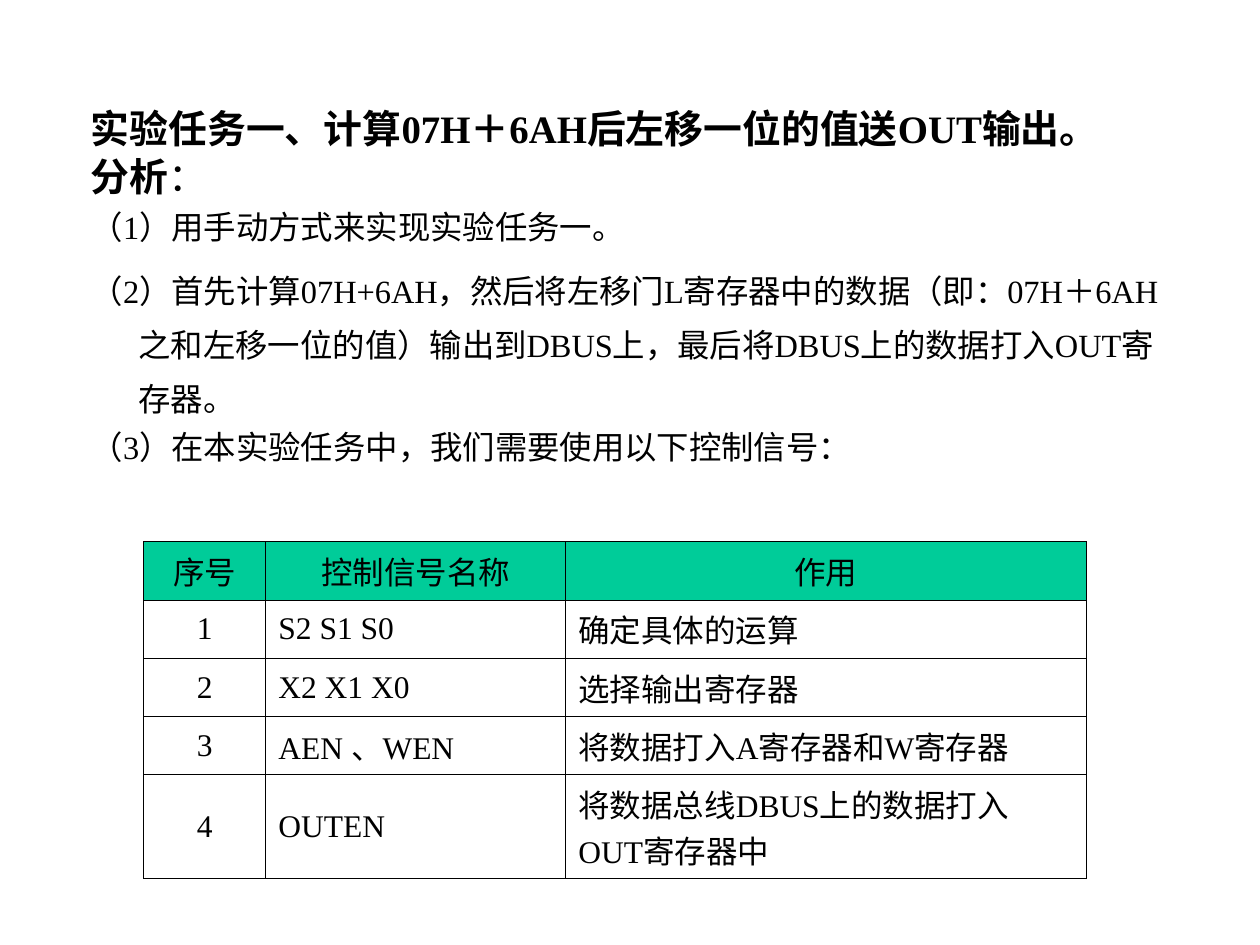
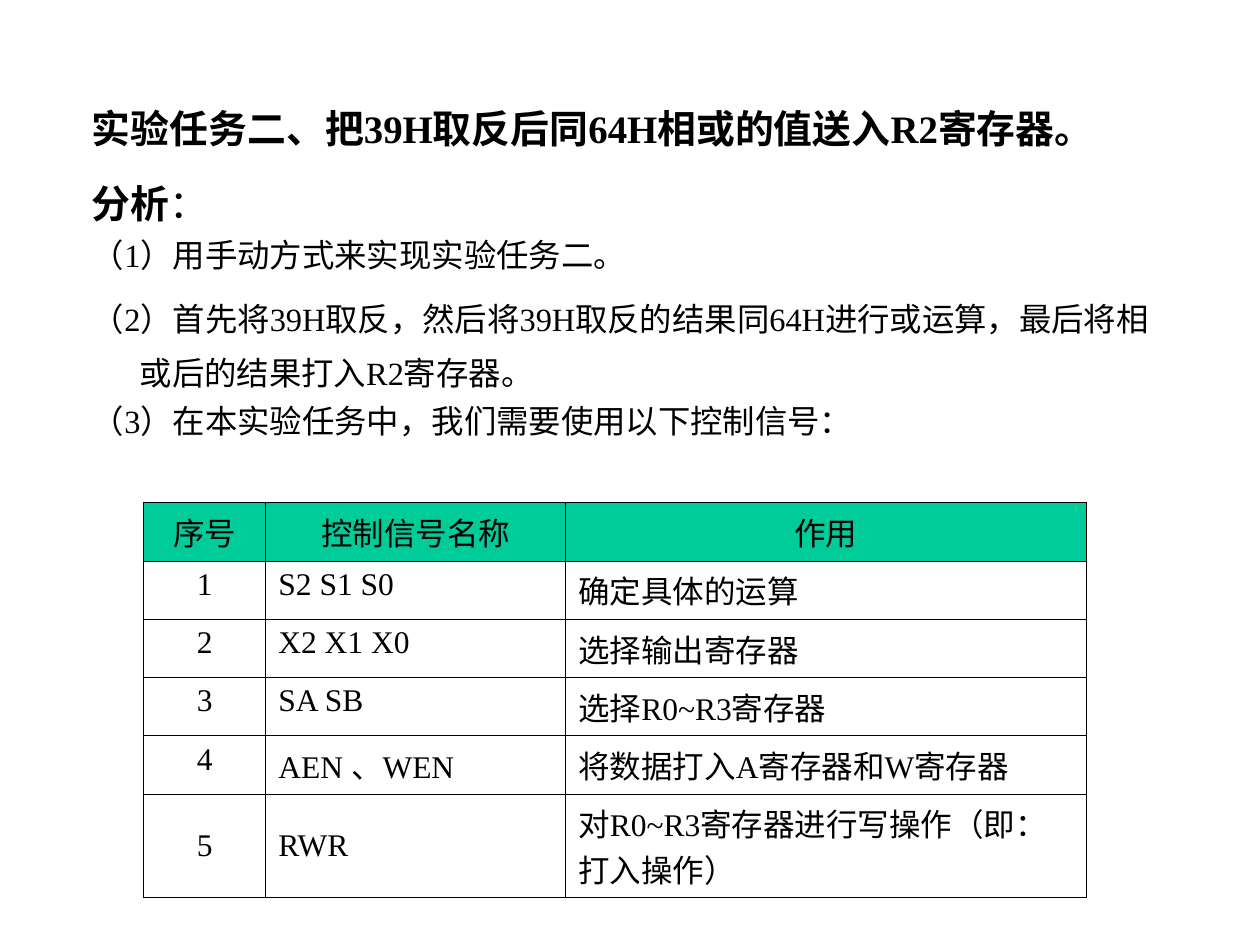
from lxml import etree
from pptx import Presentation
from pptx.dml.color import RGBColor
from pptx.enum.lang import MSO_LANGUAGE_ID
from pptx.enum.text import MSO_ANCHOR, MSO_AUTO_SIZE, PP_ALIGN
from pptx.oxml.ns import qn
from pptx.util import Inches, Pt

TOP, MIDDLE = MSO_ANCHOR.TOP, MSO_ANCHOR.MIDDLE
LEFT, CENTER = PP_ALIGN.LEFT, PP_ALIGN.CENTER
NO_AUTOFIT = MSO_AUTO_SIZE.NONE
CHINESE = MSO_LANGUAGE_ID.SIMPLIFIED_CHINESE

FONT = "Times New Roman"
BLACK = "000000"
HEADER_GREEN = "00CC99"
HEADING_SIZE, ITEM_SIZE, CELL_SIZE = 22.2, 18.5, 18
INDENT = 0.38
TABLE_LEFT = 1.14
COLUMN_WIDTHS = (0.97, 2.38, 4.13)
ROW_HEIGHT, LAST_ROW_HEIGHT = 0.4, 0.7
BORDER_WIDTH = 0.45
HEADERS = ("序号", "控制信号名称", "作用")
SIGNALS_INTRO = "（3）在本实验任务中，我们需要使用以下控制信号："


def rgb(value):
    return RGBColor.from_string(value)


def add_run(p, text, size=ITEM_SIZE, bold=False, color=BLACK):
    r = p.add_run()
    r.text = text
    r.font.name = FONT
    r.font.size = Pt(size)
    r.font.bold = bold
    r.font.color.rgb = rgb(color)
    r.font.language_id = CHINESE


def format_paragraph(p, line_spacing=1.0, space_before=0):
    pPr = p._p.get_or_add_pPr()
    pPr.set("marL", str(Inches(INDENT)))
    pPr.set("indent", str(-Inches(INDENT)))
    etree.SubElement(pPr, qn("a:buNone"))
    p.alignment = LEFT
    p.line_spacing = line_spacing
    p.space_before = Pt(space_before)


def add_task_text(s, box, heading, items, analysis_spacing):
    sp = s.placeholders[1]
    sp.left, sp.top, sp.width, sp.height = map(Inches, box)
    tf = sp.text_frame
    tf.word_wrap = True
    tf.auto_size = NO_AUTOFIT
    tf.vertical_anchor = TOP

    p = tf.paragraphs[0]
    format_paragraph(p, line_spacing=1.4)
    add_run(p, heading, size=HEADING_SIZE, bold=True)

    p = tf.add_paragraph()
    format_paragraph(p, line_spacing=analysis_spacing, space_before=6)
    add_run(p, "分析", size=HEADING_SIZE, bold=True)
    add_run(p, "：", size=HEADING_SIZE)

    for text, spacing in zip((*items, SIGNALS_INTRO), (1.0, 1.4, 1.0)):
        p = tf.add_paragraph()
        format_paragraph(p, line_spacing=spacing, space_before=5)
        add_run(p, text)


def set_borders(cell):
    tcPr = cell._tc.get_or_add_tcPr()
    for i, side in enumerate(("lnL", "lnR", "lnT", "lnB")):
        ln = etree.Element(qn(f"a:{side}"), w=str(Pt(BORDER_WIDTH)))
        fill = etree.SubElement(ln, qn("a:solidFill"))
        etree.SubElement(fill, qn("a:srgbClr"), val=BLACK)
        tcPr.insert(i, ln)


def fill_cell(cell, text, align, anchor, fill=None):
    cell.vertical_anchor = anchor
    if fill:
        cell.fill.solid()
        cell.fill.fore_color.rgb = rgb(fill)
    else:
        cell.fill.background()
    set_borders(cell)
    p = cell.text_frame.paragraphs[0]
    p.alignment = align
    add_run(p, text, size=CELL_SIZE)


def add_signal_table(s, top, signals, first_middle_row):
    rows = [HEADERS]
    rows += [(str(n), *signal) for n, signal in enumerate(signals, 1)]
    heights = [ROW_HEIGHT] * len(signals) + [LAST_ROW_HEIGHT]
    table = s.shapes.add_table(
        len(rows), len(HEADERS), Inches(TABLE_LEFT), Inches(top),
        Inches(sum(COLUMN_WIDTHS)), Inches(sum(heights))).table
    table.first_row = table.horz_banding = False
    for column, width in zip(table.columns, COLUMN_WIDTHS):
        column.width = Inches(width)
    for i, (row, height) in enumerate(zip(rows, heights)):
        table.rows[i].height = Inches(height)
        anchor = MIDDLE if i >= first_middle_row else TOP
        for j, text in enumerate(row):
            align = CENTER if i == 0 or j == 0 else LEFT
            fill = HEADER_GREEN if i == 0 else None
            fill_cell(table.cell(i, j), text, align, anchor, fill)


def add_task_slide(prs):
    s = prs.slides.add_slide(prs.slide_layouts[1])
    title = s.shapes.title._element
    title.getparent().remove(title)
    return s


def main():
    prs = Presentation()
    prs.slide_width, prs.slide_height = Inches(10), Inches(7.5)

    s = add_task_slide(prs)
    add_task_text(
        s, (0.62, 0.63, 8.78, 3.44),
        "实验任务一、计算07H＋6AH后左移一位的值送OUT输出。",
        ("（1）用手动方式来实现实验任务一。",
         "（2）首先计算07H+6AH，然后将左移门L寄存器中的数据（即：07H＋6AH之和"
         "左移一位的值）输出到DBUS上，最后将DBUS上的数据打入OUT寄存器。"),
        analysis_spacing=0.8)
    add_signal_table(s, 4.3, (
        ("S2 S1 S0", "确定具体的运算"),
        ("X2 X1 X0", "选择输出寄存器"),
        ("AEN 、WEN", "将数据打入A寄存器和W寄存器"),
        ("OUTEN", "将数据总线DBUS上的数据打入OUT寄存器中"),
    ), first_middle_row=0)

    s = add_task_slide(prs)
    add_task_text(
        s, (0.63, 0.63, 8.59, 3.2),
        "实验任务二、把39H取反后同64H相或的值送入R2寄存器。",
        ("（1）用手动方式来实现实验任务二。",
         "（2）首先将39H取反，然后将39H取反的结果同64H进行或运算，"
         "最后将相或后的结果打入R2寄存器。"),
        analysis_spacing=1.4)
    add_signal_table(s, 3.99, (
        ("S2 S1 S0", "确定具体的运算"),
        ("X2 X1 X0", "选择输出寄存器"),
        ("SA SB", "选择R0~R3寄存器"),
        ("AEN 、WEN", "将数据打入A寄存器和W寄存器"),
        ("RWR", "对R0~R3寄存器进行写操作（即：打入操作）"),
    ), first_middle_row=5)

    prs.save("out.pptx")


if __name__ == "__main__":
    main()
